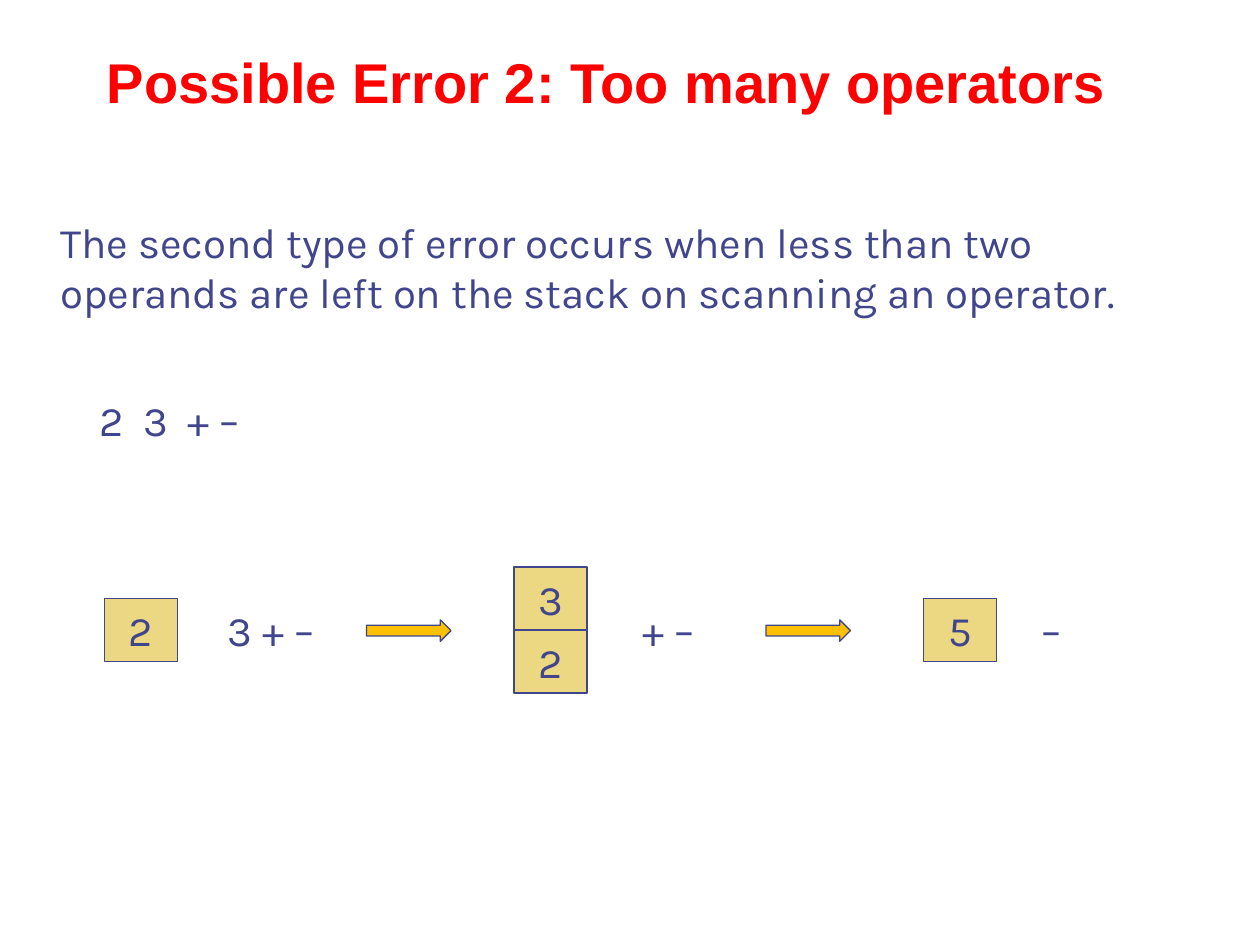
import pptx
import pptx.dml.color
import pptx.enum.shapes
import pptx.enum.text
import pptx.util
from lxml import etree
from pptx.util import Inches

COLORS = {"title": "FF0000", "ink": "40458C", "cell": "ECD882", "arrow": "FFC000"}
CELL_WIDTH, CELL_HEIGHT = 0.58, 0.5
ROW_MIDDLE = 5.0
# Each step: stack left, stack from bottom to top, input left, input width, input
STEPS = [
    (0.83, ["2"], 1.71, 1.09, "3 + –"),
    (4.08, ["2", "3"], 5.0, 0.73, "+ –"),
    (7.33, ["5"], 8.17, 0.54, "–"),
]
ARROW_LEFTS = [2.91, 6.08]


def rgb(name):
    return pptx.dml.color.RGBColor.from_string(COLORS[name])


def write(frame, text, font="Karla", size=24, color="ink", bold=False):
    frame.text = text
    for paragraph in frame.paragraphs:
        for run in paragraph.runs:
            run.font.name = font
            run.font.size = pptx.util.Pt(size)
            run.font.bold = bold
            run.font.color.rgb = rgb(color)


def add_text(slide, left, top, width, height, text, wrap=False, **style):
    frame = slide.shapes.add_textbox(
        Inches(left), Inches(top), Inches(width), Inches(height)).text_frame
    frame.word_wrap = wrap
    write(frame, text, **style)
    return frame


def set_tab_stops(paragraph, positions):
    tabs = etree.Element(pptx.oxml.ns.qn("a:tabLst"))
    for position in positions:
        etree.SubElement(tabs, pptx.oxml.ns.qn("a:tab"),
                         pos=str(Inches(position)), algn="l")
    paragraph._p.get_or_add_pPr().append(tabs)


def add_filled(slide, kind, left, top, width, height, fill):
    shape = slide.shapes.add_shape(
        kind, Inches(left), Inches(top), Inches(width), Inches(height))
    shape.shadow.inherit = False
    shape.fill.solid()
    shape.fill.fore_color.rgb = rgb(fill)
    shape.line.color.rgb = rgb("ink")
    shape.line.width = pptx.util.Pt(0.75)
    return shape


def add_stack(slide, left, operands):
    """Draw the operands upwards, centred on the middle of the row."""
    bottom = ROW_MIDDLE + len(operands) * CELL_HEIGHT / 2
    for level, operand in enumerate(operands, start=1):
        cell = add_filled(slide, pptx.enum.shapes.MSO_SHAPE.RECTANGLE, left,
                          bottom - level * CELL_HEIGHT, CELL_WIDTH, CELL_HEIGHT, "cell")
        frame = cell.text_frame
        frame.word_wrap = False
        frame.vertical_anchor = pptx.enum.text.MSO_ANCHOR.MIDDLE
        write(frame, operand)
        frame.paragraphs[0].alignment = pptx.enum.text.PP_ALIGN.CENTER


def main():
    deck = pptx.Presentation()
    deck.slide_width, deck.slide_height = Inches(10), Inches(7.5)
    slide = deck.slides.add_slide(deck.slide_layouts[6])

    add_text(slide, 0.75, 0.33, 8.5, 1.17, "Possible Error 2: Too many operators",
             wrap=True, font="Arial", size=32, color="title", bold=True)
    add_text(slide, 0.38, 1.67, 8.99, 0.9,
             "The second type of error occurs when less than two\n"
             "operands are left on the stack on scanning an operator.")
    expression = add_text(slide, 0.69, 3.08, 1.63, 0.5, "2\t3\t+ –", wrap=True)
    set_tab_stops(expression.paragraphs[0], [0.35, 0.7])

    for stack_left, operands, input_left, input_width, remaining in STEPS:
        add_stack(slide, stack_left, operands)
        add_text(slide, input_left, ROW_MIDDLE - CELL_HEIGHT / 2,
                 input_width, CELL_HEIGHT, remaining)
    for left in ARROW_LEFTS:
        add_filled(slide, pptx.enum.shapes.MSO_SHAPE.RIGHT_ARROW,
                   left, 4.92, 0.67, 0.17, "arrow")

    deck.save("out.pptx")


if __name__ == "__main__":
    main()
